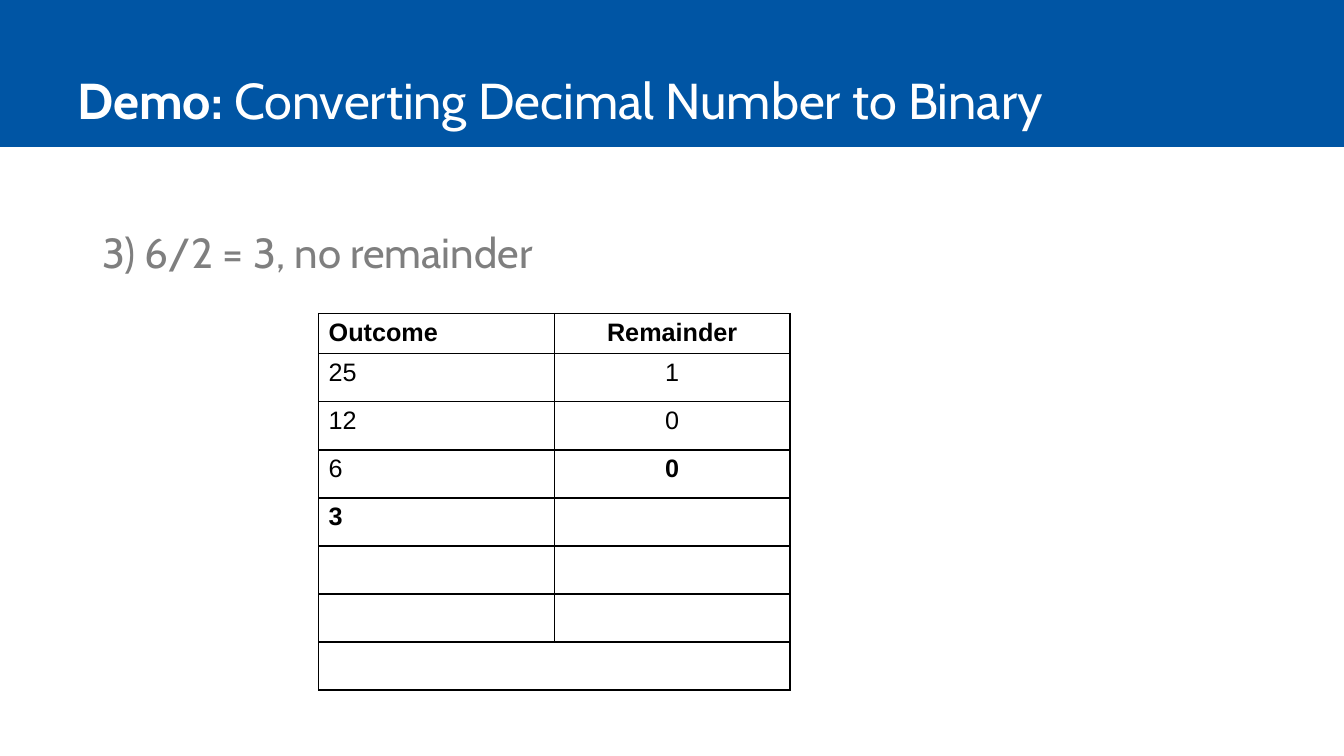
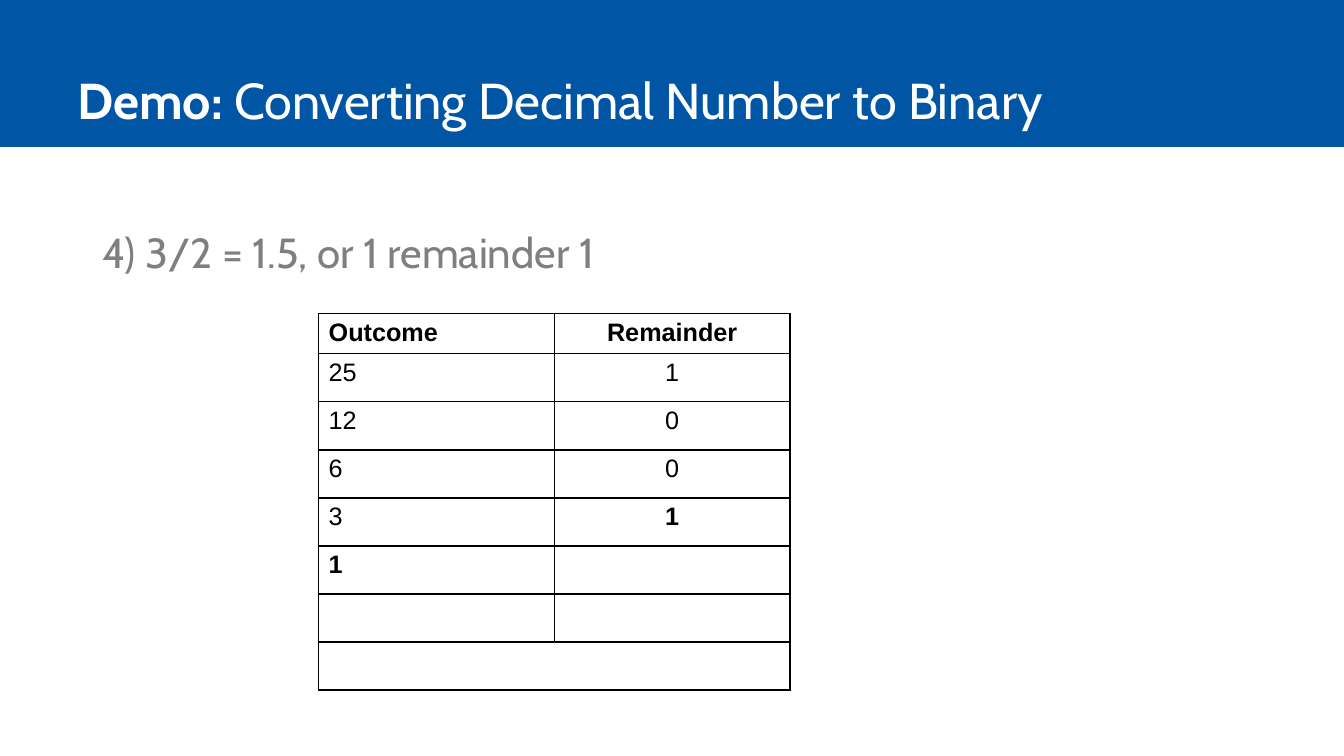
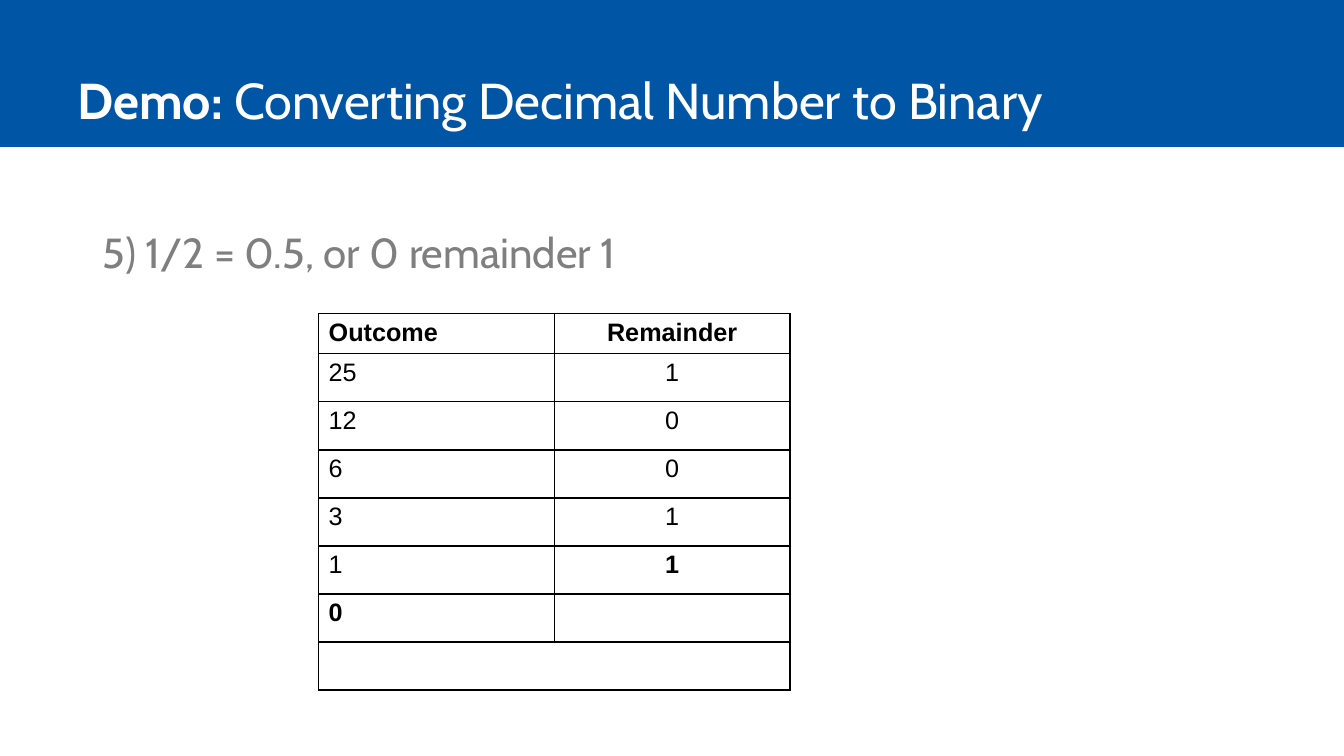
import pptx
import pptx.dml.color
import pptx.enum.shapes
import pptx.enum.text
import pptx.oxml
import pptx.oxml.ns
import pptx.util

Cm, Pt = pptx.util.Cm, pptx.util.Pt
RGB = pptx.dml.color.RGBColor
ALIGN = pptx.enum.text.PP_ALIGN
ANCHOR = pptx.enum.text.MSO_ANCHOR

BLUE = RGB(0x00, 0x55, 0xA4)
WHITE = RGB(0xFF, 0xFF, 0xFF)
GRAY = RGB(0x7F, 0x7F, 0x7F)
BLACK = RGB(0x00, 0x00, 0x00)

WIDTH, HEIGHT = Cm(33.87), Cm(19.05)
HEAD = {"name": "Cabin", "size": Pt(36)}
BODY = {"name": "Cabin", "size": Pt(30)}
GRID = {"name": "Arial", "size": Pt(18)}

OUTCOMES = [25, 12, 6, 3, 1, 0]
STEPS = {
    3: "3) 6/2 = 3, no remainder",
    4: "4) 3/2 = 1.5, or 1 remainder 1",
    5: "5) 1/2 = 0.5, or 0 remainder 1",
}


class Deck:
    def __init__(self):
        self.file = pptx.Presentation()
        self.file.slide_width, self.file.slide_height = WIDTH, HEIGHT
        self.slide = None

    def start(self):
        """Add a slide with the shared band and title."""
        self.slide = self.file.slides.add_slide(self.file.slide_layouts[6])
        self.band()
        self.text((1.7, 0, 29.85, 3.4),
                  [("Demo:", True),
                   (" Converting Decimal Number to Binary", False)],
                  HEAD, WHITE, ANCHOR.BOTTOM)

    def band(self):
        rect = pptx.enum.shapes.MSO_SHAPE.RECTANGLE
        band = self.slide.shapes.add_shape(rect, 0, 0, WIDTH, Cm(3.7))
        band.shadow.inherit = False
        band.fill.solid()
        band.fill.fore_color.rgb = BLUE
        band.line.fill.background()

    def run(self, para, words, form, color, bold=False):
        run = para.add_run()
        run.text = words
        for key, value in {**form, "bold": bold}.items():
            setattr(run.font, key, value)
        run.font.color.rgb = color

    def text(self, place, runs, form, color, anchor=ANCHOR.TOP):
        box = self.slide.shapes.add_textbox(*map(Cm, place))
        frame = box.text_frame
        frame.word_wrap = True
        frame.vertical_anchor = anchor
        for words, bold in runs:
            self.run(frame.paragraphs[0], words, form, color, bold)

    def border(self, cell):
        """Draw the four edges; they must precede the cell's fill."""
        props = cell._tc.get_or_add_tcPr()
        space = pptx.oxml.ns.nsdecls("a")
        for side in "LRTB":
            props.append(pptx.oxml.parse_xml(
                f'<a:ln{side} {space} w="{Pt(1)}"><a:solidFill>'
                f'<a:srgbClr val="{BLACK}"/></a:solidFill></a:ln{side}>'))

    def table(self, rows):
        """Draw rows of (words, bold) pairs, the last row merged."""
        high = [0.95] + [1.21] * (len(rows) - 1)
        wide = 5.94
        table = self.slide.shapes.add_table(
            len(rows), 2, Cm(8.03), Cm(7.9),
            Cm(2 * wide), Cm(sum(high))).table
        table.first_row = table.horz_banding = False
        for col in table.columns:
            col.width = Cm(wide)
        for y, row in enumerate(rows):
            table.rows[y].height = Cm(high[y])
            for x, (words, bold) in enumerate(row):
                cell = table.cell(y, x)
                self.border(cell)
                cell.fill.background()
                para = cell.text_frame.paragraphs[0]
                para.alignment = (ALIGN.LEFT, ALIGN.CENTER)[x]
                if words:
                    self.run(para, words, GRID, BLACK, bold)
        last = len(rows) - 1
        table.cell(last, 0).merge(table.cell(last, 1))


def division(step):
    """List the table rows known after a step, newest values in bold."""
    rows = [[("Outcome", True), ("Remainder", True)]]
    for i, value in enumerate(OUTCOMES):
        left = str(value) if i <= step else ""
        right = str(value % 2) if i < step else ""
        rows.append([(left, i == step), (right, i == step - 1)])
    return rows + [[("", False)] * 2]


def main():
    deck = Deck()
    for step, words in STEPS.items():
        deck.start()
        deck.text((2.33, 5.59, 29.21, 1.6), [(words, False)], BODY, GRAY)
        deck.table(division(step))
    deck.file.save("out.pptx")


if __name__ == "__main__":
    main()
